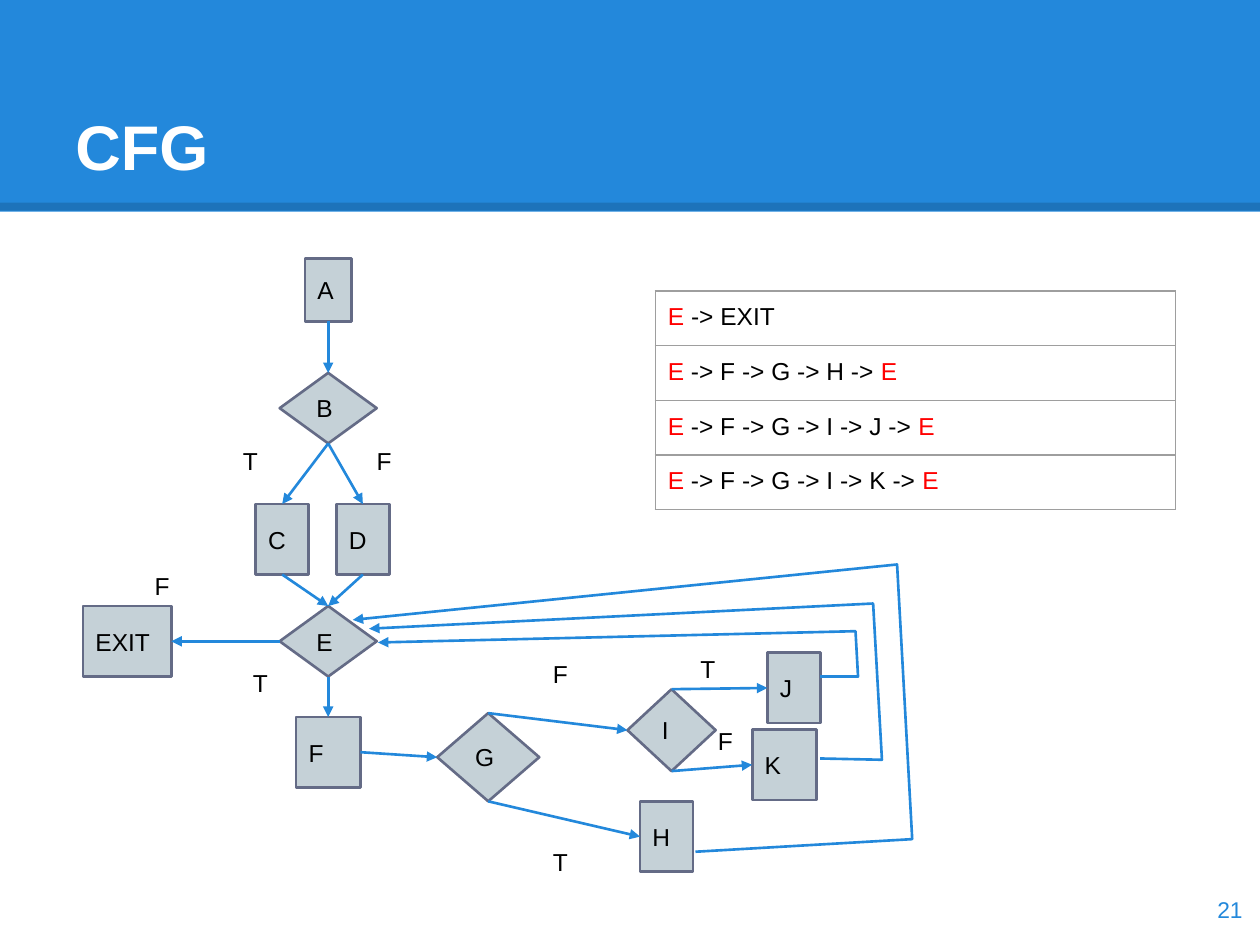
from lxml.etree import SubElement
from pptx import Presentation
from pptx.dml.color import RGBColor
from pptx.enum.shapes import MSO_CONNECTOR, MSO_SHAPE
from pptx.enum.text import MSO_ANCHOR, PP_ALIGN
from pptx.oxml.ns import qn
from pptx.util import Inches, Pt

HUES = {"blue": "2388DB", "white": "FFFFFF", "black": "000000", "red": "FF0000",
        "node": "C5D1D7", "edge": "646B86", "grid": "9E9E9E"}


def write(frame, text, size=14, hue="black", bold=False, align=PP_ALIGN.LEFT,
          anchor=MSO_ANCHOR.TOP):
    """Fill a frame with a string or a list of (string, hue) runs."""
    frame.word_wrap = True
    frame.vertical_anchor = anchor
    frame.margin_left = frame.margin_right = Inches(0.1)
    frame.margin_top = frame.margin_bottom = Inches(0.1)
    para = frame.paragraphs[0]
    para.alignment = align
    for part, tone in [(text, hue)] if isinstance(text, str) else text:
        run = para.add_run()
        run.text = part
        run.font.name = "Arial"
        run.font.size = Pt(size)
        run.font.bold = bold
        run.font.color.rgb = RGBColor.from_string(HUES[tone])


def stroke(shape, hue="blue", width=1.5, arrow=False):
    """Set the outline, with an arrowhead at its end if asked."""
    shape.line.color.rgb = RGBColor.from_string(HUES[hue])
    shape.line.width = Pt(width)
    if arrow:
        SubElement(shape.line._get_or_add_ln(), qn("a:tailEnd"), type="triangle")


deck = Presentation()
deck.slide_width, deck.slide_height = Inches(10), Inches(7.5)
slide = deck.slides.add_slide(deck.slide_layouts[6])
shapes = slide.shapes

# Header band with a darker rule at its foot
band = shapes.add_shape(MSO_SHAPE.RECTANGLE, 0, 0, Inches(10), Inches(1.68))
band.shadow.inherit = False
band.fill.solid()
band.fill.fore_color.rgb = RGBColor.from_string(HUES["blue"])
band.line.fill.background()
rule = shapes.add_connector(MSO_CONNECTOR.STRAIGHT, 0, Inches(1.64), Inches(10), Inches(1.64))
SubElement(rule._element.spPr, qn("a:effectLst"))
stroke(rule, "black", 4.5)
tint = rule.line._get_or_add_ln().find(".//" + qn("a:srgbClr"))
SubElement(tint, qn("a:alpha"), val="15000")

# Title and page number
title = shapes.add_textbox(Inches(0.5), Inches(0.3), Inches(9), Inches(1.25))
write(title.text_frame, "CFG", size=36, hue="white", bold=True, anchor=MSO_ANCHOR.BOTTOM)
page = shapes.add_textbox(Inches(9.36), Inches(6.93), Inches(0.6), Inches(0.57))
write(page.text_frame, "21", size=13, hue="blue", align=PP_ALIGN.RIGHT, anchor=MSO_ANCHOR.MIDDLE)

# Graph nodes: left, top, width, height
boxes = {"A": (2.42, 2.05, 0.37, 0.5), "C": (2.03, 4, 0.42, 0.56),
         "D": (2.67, 4, 0.42, 0.56), "EXIT": (0.66, 4.81, 0.7, 0.56),
         "F": (2.35, 5.69, 0.51, 0.56), "H": (5.08, 6.36, 0.42, 0.56),
         "J": (6.09, 5.18, 0.42, 0.56), "K": (5.97, 5.79, 0.51, 0.56)}
tests = {"B": (2.22, 2.96, 0.77, 0.56), "E": (2.22, 4.81, 0.77, 0.56),
         "G": (3.47, 5.66, 0.81, 0.7), "I": (4.98, 5.47, 0.7, 0.65)}
nodes = {}
for kind, group in ((MSO_SHAPE.RECTANGLE, boxes), (MSO_SHAPE.DIAMOND, tests)):
    for name, place in group.items():
        node = shapes.add_shape(kind, *map(Inches, place))
        node.shadow.inherit = False
        node.fill.solid()
        node.fill.fore_color.rgb = RGBColor.from_string(HUES["node"])
        stroke(node, "edge")
        write(node.text_frame, name, anchor=MSO_ANCHOR.MIDDLE)
        nodes[name] = node

# Arrows between node sides
TOP, LEFT, BOTTOM, RIGHT = range(4)
edges = [("A", BOTTOM, "B", TOP), ("B", BOTTOM, "C", TOP), ("B", BOTTOM, "D", TOP),
         ("C", BOTTOM, "E", TOP), ("D", BOTTOM, "E", TOP), ("E", LEFT, "EXIT", RIGHT),
         ("E", BOTTOM, "F", TOP), ("F", RIGHT, "G", LEFT), ("G", TOP, "I", LEFT),
         ("G", BOTTOM, "H", LEFT), ("I", TOP, "J", LEFT), ("I", BOTTOM, "K", LEFT)]
for start, out, end, into in edges:
    link = shapes.add_connector(MSO_CONNECTOR.STRAIGHT, 0, 0, 0, 0)
    link.begin_connect(nodes[start], out)
    link.end_connect(nodes[end], into)
    SubElement(link._element.spPr, qn("a:effectLst"))
    stroke(link, arrow=True)

# Loops back to E from J, K and H
loops = [[(6.51, 5.37), (6.81, 5.37), (6.79, 5.01), (3, 5.1)],
         [(6.51, 6.02), (7, 6.03), (6.93, 4.79), (2.93, 4.99)],
         [(5.52, 6.76), (7.24, 6.66), (7.12, 4.48), (2.8, 4.92)]]
for first, *rest in loops:
    pen = shapes.build_freeform(*map(Inches, first))
    pen.add_line_segments([(Inches(x), Inches(y)) for x, y in rest], close=False)
    loop = pen.convert_to_shape()
    loop.shadow.inherit = False
    loop.fill.background()
    stroke(loop, arrow=True)

# True and false labels
for mark, x, y in [("T", 1.83, 3.44), ("F", 2.89, 3.44), ("F", 1.13, 4.43),
                   ("T", 1.91, 5.2), ("T", 4.29, 6.62), ("F", 4.29, 5.13),
                   ("T", 5.46, 5.09), ("F", 5.6, 5.66)]:
    label = shapes.add_textbox(Inches(x), Inches(y), Inches(0.37), Inches(0.5))
    write(label.text_frame, mark)

# Table of walks from E
walks = [[("E ", "red"), ("-> EXIT", "black")]]
for route in ("G -> H", "G -> I -> J", "G -> I -> K"):
    walks.append([("E", "red"), (f" -> F -> {route} -> ", "black"), ("E", "red")])
table = shapes.add_table(len(walks), 1, Inches(5.2), Inches(2.31),
                         Inches(4.13), Inches(0.42 * len(walks))).table
for row, walk in enumerate(walks):
    cell = table.cell(row, 0)
    write(cell.text_frame, walk)
    cell.margin_left = cell.margin_right = Inches(0.1)
    cell.margin_top = cell.margin_bottom = Inches(0.1)
    props = cell._tc.get_or_add_tcPr()
    for side in ("a:lnL", "a:lnR", "a:lnT", "a:lnB"):
        line = SubElement(props, qn(side), w=str(Pt(0.75)))
        SubElement(SubElement(line, qn("a:solidFill")), qn("a:srgbClr"), val=HUES["grid"])
    cell.fill.solid()
    cell.fill.fore_color.rgb = RGBColor.from_string(HUES["white"])

deck.save("out.pptx")
